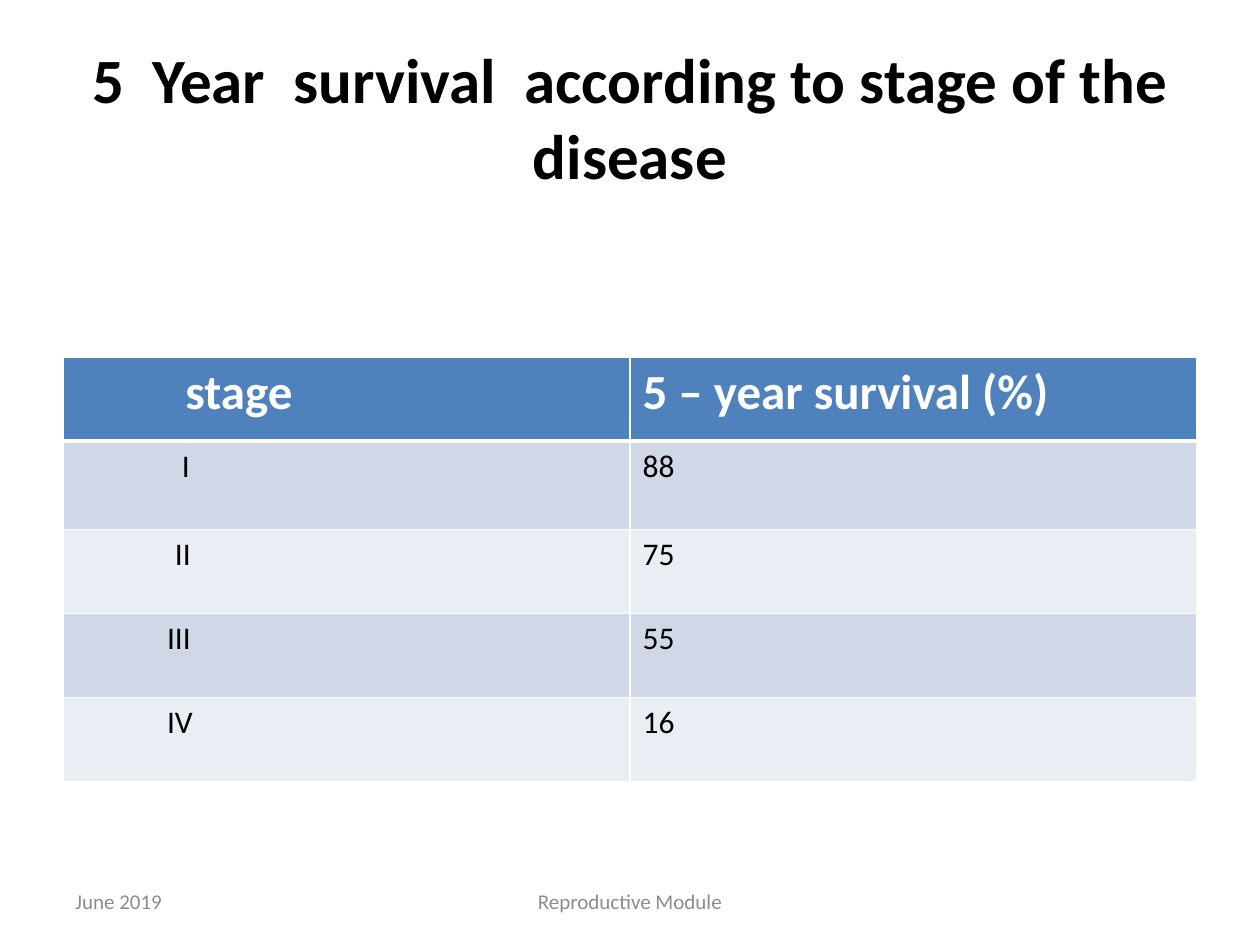
from dataclasses import dataclass

from lxml.etree import SubElement
from pptx import Presentation
from pptx.dml.color import RGBColor as RGB
from pptx.enum.text import MSO_ANCHOR as Anchor, PP_ALIGN as Align
from pptx.oxml.ns import qn
from pptx.util import Pt


@dataclass(frozen=True)
class Theme:
    font: str = "Calibri"
    black: str = "000000"
    white: str = "FFFFFF"
    grey: str = "8C8C8C"
    header: str = "4F81BD"
    bands: tuple = ("D0D8E8", "E9EDF4")
    title_size: int = 36
    header_size: int = 28
    body_size: int = 18
    footer_size: int = 12


THEME = Theme()

# Stage, survival, left margin of the stage label
ROWS = [
    ("stage", "5 – year survival (%)", 70),
    ("I", "88", 68),
    ("II", "75", 64),
    ("III", "55", 59.5),
    ("IV", "16", 59.5),
]
ROW_HEIGHTS = [48, 50.5, 48, 48, 48]


def write(tf, text, size, color, bold=False, align=Align.LEFT):
    tf.word_wrap = True
    p = tf.paragraphs[0]
    p.alignment = align
    r = p.add_run()
    r.text = text
    for name, value in {"name": THEME.font, "size": Pt(size), "bold": bold}.items():
        setattr(r.font, name, value)
    r.font.color.rgb = RGB.from_string(color)


def place(sp, left, top, width, height):
    box = {"left": left, "top": top, "width": width, "height": height}
    for name, value in box.items():
        setattr(sp, name, Pt(value))


def add_title(s, text):
    sp = s.shapes.title
    place(sp, 36, 21.6, 648, 90)
    sp.text_frame.vertical_anchor = Anchor.MIDDLE
    write(sp.text_frame, text, THEME.title_size, THEME.black, True, Align.CENTER)


def add_footer(s, text, left, width, align):
    sp = s.shapes.add_textbox(Pt(left), Pt(500.4), Pt(width), Pt(28.8))
    sp.text_frame.vertical_anchor = Anchor.MIDDLE
    write(sp.text_frame, text, THEME.footer_size, THEME.grey, align=align)


def set_borders(cell, widths):
    tc_pr = cell._tc.get_or_add_tcPr()
    for side, width in widths.items():
        ln = SubElement(tc_pr, qn(f"a:ln{side}"), w=str(Pt(width)))
        fill = SubElement(ln, qn("a:solidFill"))
        SubElement(fill, qn("a:srgbClr"), val=THEME.white)


def format_cell(cell, text, row, margin):
    is_header = row == 0
    # The rule below the header is heavier
    top, bottom = (3 if row == 1 else 1), (3 if is_header else 1)
    set_borders(cell, {"L": 1, "R": 1, "T": top, "B": bottom})
    cell.fill.solid()
    fill = THEME.header if is_header else THEME.bands[(row - 1) % 2]
    cell.fill.fore_color.rgb = RGB.from_string(fill)
    cell.margin_left = Pt(margin)
    size = THEME.header_size if is_header else THEME.body_size
    color = THEME.white if is_header else THEME.black
    write(cell.text_frame, text, size, color, is_header)


def add_survival_table(s):
    frame = s.shapes.add_table(len(ROWS), 2, Pt(36), Pt(204), Pt(648), Pt(sum(ROW_HEIGHTS)))
    table = frame.table
    table.horz_banding = False
    for i, (stage, survival, margin) in enumerate(ROWS):
        table.rows[i].height = Pt(ROW_HEIGHTS[i])
        format_cell(table.cell(i, 0), stage, i, margin)
        format_cell(table.cell(i, 1), survival, i, 7.2)


def main():
    prs = Presentation()
    prs.slide_width, prs.slide_height = Pt(720), Pt(540)
    s = prs.slides.add_slide(prs.slide_layouts[5])

    # Title
    add_title(s, "5  Year  survival  according to stage of the disease")

    # Survival by stage
    add_survival_table(s)

    # Footer
    add_footer(s, "June 2019", 36, 168, Align.LEFT)
    add_footer(s, "Reproductive Module", 246, 228, Align.CENTER)

    prs.save("out.pptx")


if __name__ == "__main__":
    main()
